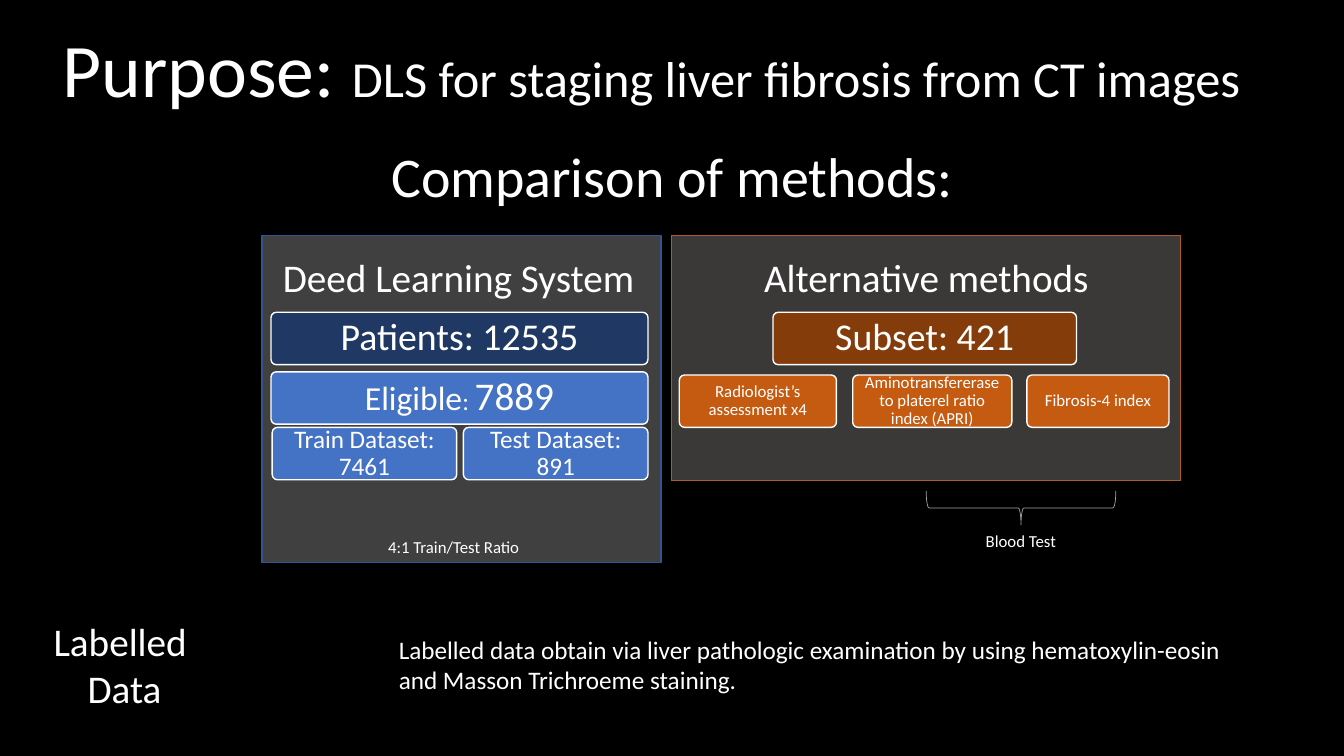
from pptx import Presentation
from pptx.dml.color import RGBColor
from pptx.enum.shapes import MSO_SHAPE
from pptx.enum.text import MSO_ANCHOR, MSO_AUTO_SIZE, PP_ALIGN
from pptx.util import Cm, Pt

RECTANGLE = MSO_SHAPE.RECTANGLE
ROUNDED = MSO_SHAPE.ROUNDED_RECTANGLE
BRACE = MSO_SHAPE.RIGHT_BRACE
LEFT, CENTER = PP_ALIGN.LEFT, PP_ALIGN.CENTER
TOP, MIDDLE = MSO_ANCHOR.TOP, MSO_ANCHOR.MIDDLE
GROW = MSO_AUTO_SIZE.SHAPE_TO_FIT_TEXT

FONT = "Calibri"
WHITE, BLACK = "FFFFFF", "000000"
NAVY, BLUE = "203864", "4472C4"
BROWN, ORANGE = "843C0B", "C55A11"
CARD_HEIGHT = 1.32
CARD_TOP = 7.87


def color(hex_text):
    return RGBColor.from_string(hex_text)


def format_span(span, size):
    span.font.name = FONT
    span.font.size = Pt(size)
    span.font.bold = False
    span.font.color.rgb = color(WHITE)


def fill_spans(para, parts):
    """Write (text, size) parts into one paragraph."""
    for text, size in parts:
        span = para.add_run()
        span.text = text
        format_span(span, size)


def add_text(page, place, lines, size, align=CENTER):
    box = page.shapes.add_textbox(*map(Cm, place))
    frame = box.text_frame
    frame.word_wrap = False
    frame.auto_size = GROW
    frame.text = "\n".join(lines)
    for para in frame.paragraphs:
        para.alignment = align
        format_span(para.runs[0], size)


def add_outline(page, kind, place, fill, line, width=1):
    shape = page.shapes.add_shape(kind, *map(Cm, place))
    shape.shadow.inherit = False
    if fill:
        shape.fill.solid()
        shape.fill.fore_color.rgb = color(fill)
    else:
        shape.fill.background()
    shape.line.color.rgb = color(line)
    shape.line.width = Pt(width)
    return shape


def add_card(page, left, top, width, fill, parts, inset):
    card = add_outline(page, ROUNDED, (left, top, width, CARD_HEIGHT), fill, WHITE)
    card.adjustments[0] = 0.1
    frame = card.text_frame
    frame.word_wrap = True
    frame.vertical_anchor = MIDDLE
    frame.margin_left = frame.margin_right = Cm(inset)
    frame.margin_top = frame.margin_bottom = Cm(inset)
    para = frame.paragraphs[0]
    para.alignment = CENTER
    para.line_spacing = 0.9
    fill_spans(para, parts)


def set_title(page, place, parts):
    title = page.shapes.title
    title.left, title.top, title.width, title.height = map(Cm, place)
    frame = title.text_frame
    frame.word_wrap = False
    frame.auto_size = GROW
    frame.vertical_anchor = TOP
    para = frame.paragraphs[0]
    para.alignment = CENTER
    fill_spans(para, parts)


def main():
    deck = Presentation()
    deck.slide_width, deck.slide_height = Cm(33.87), Cm(19.05)
    page = deck.slides.add_slide(deck.slide_layouts[5])
    page.background.fill.solid()
    page.background.fill.fore_color.rgb = color(BLACK)

    # Headings
    set_title(page, (1.17, 0.43, 30.51, 2.57),
              [("Purpose: ", 54),
               ("DLS for staging liver fibrosis from CT images", 36)])
    add_text(page, (9.53, 3.43, 14.81, 1.96), ["Comparison of methods:"], 40)

    # Panels
    add_outline(page, RECTANGLE, (16.92, 5.94, 12.83, 6.17), "3B3838", "AF5C24")
    add_outline(page, RECTANGLE, (6.6, 5.94, 10.06, 8.23), "404040", "325491")
    add_text(page, (6.83, 6.27, 9.45, 1.09), ["Deed Learning System"], 28)
    add_text(page, (18.95, 6.27, 8.79, 1.55), ["Alternative methods"], 28)

    # Deep learning cards
    add_card(page, 6.83, CARD_TOP, 9.5, NAVY, [("Patients: 12535", 27)], 0.32)
    add_card(page, 6.83, 9.37, 9.5, BLUE,
             [("Eligible", 24), (": ", 18), ("7889", 28)], 0.3)
    for left, text in ((6.86, "Train Dataset: 7461"), (11.68, "Test Dataset: 891")):
        add_card(page, left, 10.77, 4.65, BLUE, [(text, 18)], 0.22)
    add_text(page, (9.53, 13.41, 3.86, 0.76), ["4:1 Train/Test Ratio"], 12, LEFT)

    # Alternative method cards
    add_card(page, 19.48, CARD_TOP, 7.65, BROWN, [("Subset: 421", 27)], 0.32)
    methods = (
        (17.12, 3.96, "Radiologist’s assessment x4"),
        (21.49, 4.01, "Aminotransfererase to platerel ratio index (APRI)"),
        (25.88, 3.58, "Fibrosis-4 index"),
    )
    for left, width, text in methods:
        add_card(page, left, 9.45, width, ORANGE, [(text, 12)], 0.17)

    # Blood test brace
    brace = add_outline(page, BRACE, (25.3, 10.41, 0.86, 4.78), None, "A5A5A5", 0.5)
    brace.rotation = 90
    add_text(page, (24.59, 13.26, 2.31, 0.76), ["Blood Test"], 12, LEFT)

    # Labelled data
    add_text(page, (1.07, 15.42, 4.14, 2.64), ["Labelled ", "Data"], 28)
    add_text(page, (9.8, 15.85, 21.62, 1.8),
             ["Labelled data obtain via liver pathologic examination "
              "by using hematoxylin-eosin",
              "and Masson Trichroeme staining."], 18, LEFT)

    deck.save("out.pptx")


if __name__ == "__main__":
    main()
